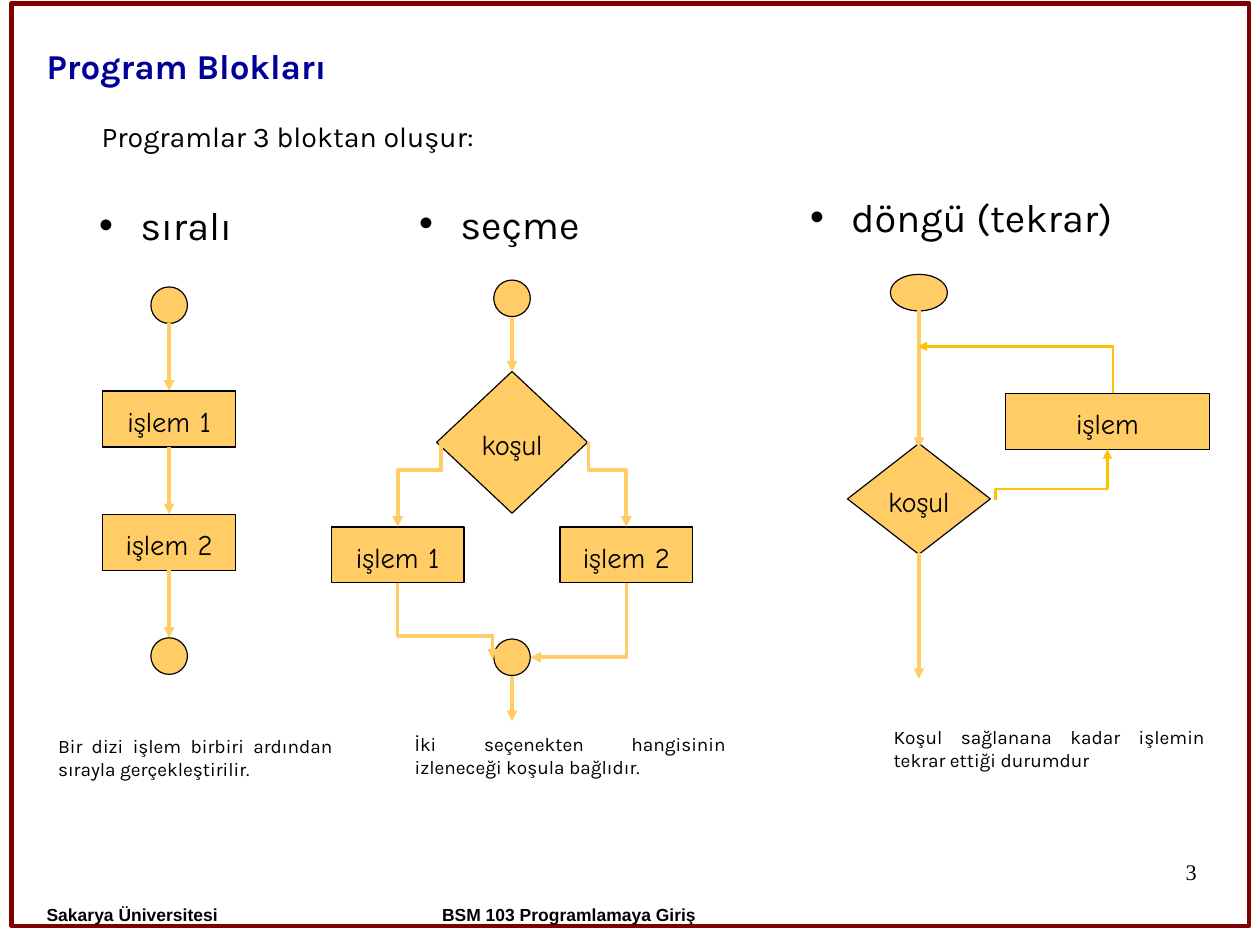
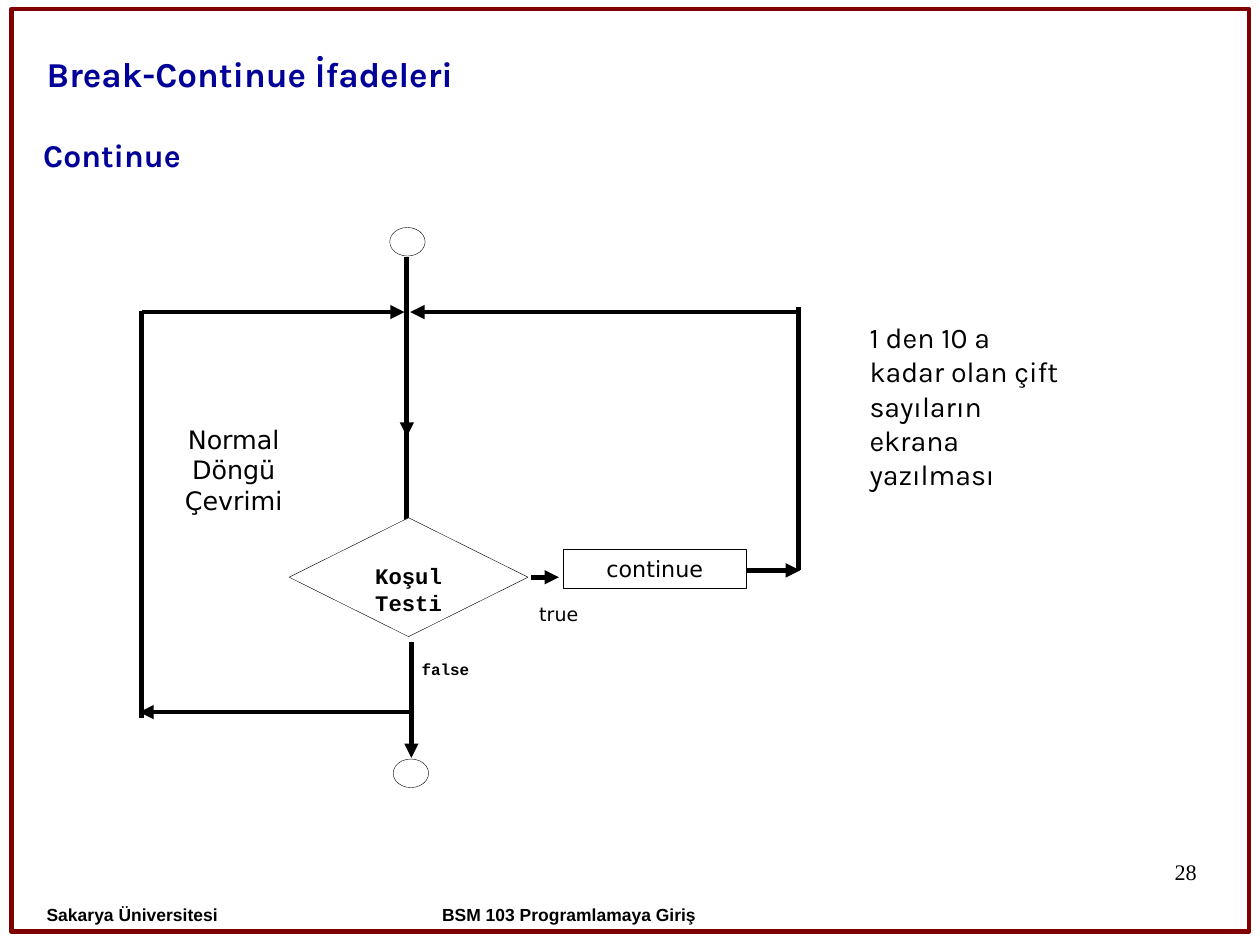
from dataclasses import dataclass

from lxml import etree
from pptx import Presentation
from pptx import util as u
from pptx.dml.color import RGBColor
from pptx.enum import shapes, text
from pptx.oxml.ns import qn

SHAPE = shapes.MSO_SHAPE
ALIGN = text.PP_ALIGN


@dataclass(frozen=True)
class Theme:
    """Colours, fonts and type sizes shared by the slides."""

    ink: str = "000000"
    paper: str = "FFFFFF"
    frame: str = "800000"
    title: str = "000099"
    node: str = "FFCC66"
    loop: str = "FFC000"
    body: str = "Karla"
    hand: str = "Comic Neue"
    sans: str = "DejaVu Sans"
    code: str = "Courier New"
    footer: str = "Arial"
    number: str = "Times New Roman"
    title_size: int = 22
    subtitle_size: int = 20
    heading_size: int = 25
    body_size: int = 18
    cycle_size: int = 16
    label_size: int = 14
    caption_size: int = 12
    footer_size: int = 11
    small_size: int = 10


T = Theme()


def rgb(value):
    """Turn a hex string into a colour."""
    return RGBColor.from_string(value)


def write(tf, content, size=T.body_size, font=T.body, color=T.ink, bold=False,
          align=ALIGN.LEFT, spacing=None, bullet=None):
    """Fill a text frame, one paragraph for each line of the content."""
    tf.margin_left = tf.margin_right = u.Inches(0.1)
    tf.margin_top = tf.margin_bottom = u.Inches(0.05)
    for i, line in enumerate(content.split("\n")):
        p = tf.add_paragraph() if i else tf.paragraphs[0]
        p.alignment = align
        if spacing:
            p.line_spacing = spacing
        if bullet:
            pPr = p._p.get_or_add_pPr()
            pPr.set("marL", str(u.Inches(0.36)))
            pPr.set("indent", str(-u.Inches(0.36)))
            etree.SubElement(pPr, qn("a:buFont")).set("typeface", T.footer)
            etree.SubElement(pPr, qn("a:buChar")).set("char", bullet)
        r = p.add_run()
        r.text = line
        r.font.size, r.font.name, r.font.bold = u.Pt(size), font, bold
        r.font.color.rgb = rgb(color)


def label(s, box, content, **fmt):
    """Add a wrapping text box."""
    tf = s.shapes.add_textbox(*map(u.Inches, box)).text_frame
    tf.word_wrap = True
    write(tf, content, **fmt)


def shape(s, kind, box, fill=None, line=T.ink, width=0.75):
    """Add a preset shape without shadow."""
    sp = s.shapes.add_shape(kind, *map(u.Inches, box))
    sp.shadow.inherit = False
    if fill:
        sp.fill.solid()
        sp.fill.fore_color.rgb = rgb(fill)
    else:
        sp.fill.background()
    sp.line.color.rgb = rgb(line)
    sp.line.width = u.Pt(width)
    return sp


def node(s, kind, cx, top, w, h, content=None):
    """Add a filled flowchart node centred on cx."""
    sp = shape(s, kind, (cx - w / 2, top, w, h), T.node)
    if content:
        tf = sp.text_frame
        tf.word_wrap = False
        tf.vertical_anchor = text.MSO_ANCHOR.MIDDLE
        write(tf, content, font=T.hand, align=ALIGN.CENTER, spacing=1.1)


def dot(s, cx, top, w=0.32):
    """Add a start or end node."""
    node(s, SHAPE.OVAL, cx, top, w, 0.32)


def step(s, cx, top, content, w=1.16):
    """Add a process node."""
    node(s, SHAPE.RECTANGLE, cx, top, w, 0.49, content)


def style_line(cxn, color, width, arrow):
    """Set the stroke of a connector and its arrowhead."""
    cxn.line.color.rgb = rgb(color)
    cxn.line.width = u.Pt(width)
    if arrow:
        ln = cxn.line._get_or_add_ln()
        etree.SubElement(ln, qn("a:tailEnd")).set("type", "triangle")
    etree.SubElement(cxn._element.spPr, qn("a:effectLst"))


def line(s, start, end, color=T.node, width=2.25, arrow=True):
    """Add a straight connector."""
    cxn = s.shapes.add_connector(shapes.MSO_CONNECTOR.STRAIGHT,
                                 *map(u.Inches, (*start, *end)))
    style_line(cxn, color, width, arrow)


def elbow(s, start, end, bend=None, color=T.node, width=2.25):
    """Add an arrow that leaves vertically and turns at the bend, or once if None."""
    (x1, y1), (x2, y2) = start, end
    dx, dy = x2 - x1, y2 - y1
    w, h = abs(dy), abs(dx)
    angle, flip = (90 if dx < 0 else 270), (dx > 0) == (dy > 0)
    if bend == 0:
        w, h, angle, flip = h, w, 180, False
    left, top = (x1 + x2 - w) / 2, (y1 + y2 - h) / 2
    cxn = s.shapes.add_connector(shapes.MSO_CONNECTOR.ELBOW,
                                 *map(u.Inches, (left, top, left + w, top + h)))
    spPr = cxn._element.spPr
    xfrm = spPr.find(qn("a:xfrm"))
    xfrm.set("rot", str(angle * 60000))
    if flip:
        xfrm.set("flipH", "1")
    geom = spPr.find(qn("a:prstGeom"))
    if bend is None:
        geom.set("prst", "bentConnector2")
    else:
        gd = etree.SubElement(geom.find(qn("a:avLst")), qn("a:gd"))
        gd.set("name", "adj1")
        gd.set("fmla", f"val {round(bend * 100000)}")
    style_line(cxn, color, width, True)


def base_slide(prs, title, number, frame_top, title_top):
    """Add a slide with its frame, title, number and footers."""
    s = prs.slides.add_slide(prs.slide_layouts[6])
    shape(s, SHAPE.RECTANGLE, (0.1, frame_top, 10.83, 8.07), line=T.frame, width=2.83)
    label(s, (0.31, title_top, 8.75, 0.46), title, size=T.title_size,
          color=T.title, bold=True)
    label(s, (7.8, 7.48, 2.77, 0.4), number, size=T.label_size, font=T.number,
          align=ALIGN.RIGHT, spacing=0.95)
    for left, width, align, content in (
            (0.31, 2.16, ALIGN.LEFT, "Sakarya Üniversitesi"),
            (3.21, 3.54, ALIGN.CENTER, "BSM 103 Programlamaya Giriş")):
        label(s, (left, 7.88, width, 0.3), content, size=T.footer_size,
              font=T.footer, bold=True, align=align, spacing=0.93)
    return s


def block_text(s, heading_at, heading, caption_at, caption, width=2.92):
    """Add the bulleted heading and the caption of a program block."""
    label(s, (*heading_at, 3.07, 0.66), heading, size=T.heading_size,
          spacing=1.04, bullet="•")
    label(s, (*caption_at, width, 0.5), caption, size=T.caption_size,
          align=ALIGN.JUSTIFY)


def sequence_block(s, x, y):
    """Draw the sequential block from its top left corner."""
    block_text(s, (x + 0.67, y), "sıralı", (x + 0.31, y + 4.69),
               "Bir dizi işlem birbiri ardından sırayla gerçekleştirilir.", 2.6)
    cx, gap, top = x + 1.38, 0.59, y + 0.82
    dot(s, cx, top)
    bottom = top + 0.32
    for content in ("işlem 1", "işlem 2"):
        line(s, (cx, bottom), (cx, bottom + gap))
        step(s, cx, bottom + gap, content)
        bottom += gap + 0.49
    line(s, (cx, bottom), (cx, bottom + gap))
    dot(s, cx, bottom + gap)


def selection_block(s, x, y):
    """Draw the selection block from its top left corner."""
    block_text(s, (x + 0.57, y), "seçme", (x + 0.53, y + 4.68),
               "İki seçenekten hangisinin izleneceği koşula bağlıdır.")
    cx = x + 1.48
    dot(s, cx, y + 0.77)
    node(s, SHAPE.DIAMOND, cx, y + 1.57, 1.32, 1.24, "koşul")
    dot(s, cx, y + 3.91)
    line(s, (cx, y + 1.09), (cx, y + 1.57))
    line(s, (cx, y + 4.23), (cx, y + 4.63))
    for content, side, corner in (("işlem 1", -1, -0.62), ("işlem 2", 1, 0.67)):
        step(s, cx + side, y + 2.93, content)
        elbow(s, (cx + corner, y + 2.19), (cx + side, y + 2.93), 0.33)
    elbow(s, (cx - 1, y + 3.42), (cx - 0.17, y + 4.09), 0.69)
    elbow(s, (cx + 1, y + 3.42), (cx + 0.16, y + 4.07))


def loop_block(s, x, y):
    """Draw the loop block from its top left corner."""
    block_text(s, (x, y), "döngü (tekrar)", (x + 0.73, y + 4.68),
               "Koşul sağlanana kadar işlemin tekrar ettiği durumdur")
    cx = x + 1.05
    dot(s, cx, y + 0.78, 0.5)
    node(s, SHAPE.DIAMOND, cx, y + 2.26, 1.25, 0.97, "koşul")
    step(s, x + 2.7, y + 1.82, "işlem", 1.78)
    line(s, (cx, y + 1.09), (cx, y + 2.3))
    line(s, (cx, y + 3.22), (cx, y + 4.32))
    elbow(s, (x + 1.72, y + 2.75), (x + 2.7, y + 2.31), 0.21, T.loop, 1.5)
    elbow(s, (x + 2.75, y + 1.82), (x + 1.04, y + 1.41), 0, T.loop, 1.5)


def continue_chart(s, x, y):
    """Draw the flow of a loop with continue from its top left corner."""
    def path(points, arrow=True):
        """Add a black flow line from the corner of the chart."""
        line(s, *((x + px, y + py) for px, py in points), T.ink, 3, arrow)

    for left, top in ((2.19, 0), (2.22, 4.65)):
        shape(s, SHAPE.OVAL, (x + left, y + top, 0.31, 0.25), width=0.25)
    for points in (((2.34, 0.26), (2.34, 1.83)), ((2.38, 3.63), (2.38, 4.64)),
                   ((5.76, 0.74), (2.37, 0.74)), ((2.37, 4.24), (0, 4.24)),
                   ((0.02, 0.74), (2.32, 0.74)), ((3.43, 3.06), (3.67, 3.06)),
                   ((5.31, 3), (5.78, 3))):
        path(points)
    for points in (((2.34, 1.7), (2.34, 2.72)), ((5.77, 0.7), (5.77, 3)),
                   ((0.02, 4.29), (0.02, 0.73))):
        path(points, False)
    shape(s, SHAPE.DIAMOND, (x + 1.31, y + 2.54, 2.09, 1.04), T.paper, width=0.25)
    label(s, (x + 1.56, y + 2.88, 1.59, 0.5), "Koşul\nTesti", size=T.label_size,
          font=T.code, bold=True, align=ALIGN.CENTER)
    sp = shape(s, SHAPE.RECTANGLE, (x + 3.71, y + 2.82, 1.6, 0.34))
    sp.text_frame.vertical_anchor = text.MSO_ANCHOR.TOP
    write(sp.text_frame, "continue", size=T.label_size, font=T.sans,
          align=ALIGN.CENTER)
    label(s, (x + 3.4, y + 3.23, 0.67, 0.3), "true", size=T.caption_size, font=T.sans)
    label(s, (x + 2.37, y + 3.73, 1.35, 0.3), "false", size=T.small_size,
          font=T.code, bold=True)
    label(s, (x + 0.19, y + 1.67, 1.27, 0.9), "Normal Döngü Çevrimi",
          size=T.cycle_size, font=T.sans, align=ALIGN.CENTER)


def blocks_slide(prs):
    """Build the slide on the three program blocks."""
    s = base_slide(prs, "Program Blokları", "3", 0.03, 0.34)
    label(s, (0.79, 0.99, 3.89, 0.4), "Programlar 3 bloktan oluşur:")
    sequence_block(s, 0.1, 1.69)
    selection_block(s, 3, 1.68)
    loop_block(s, 6.99, 1.62)


def continue_slide(prs):
    """Build the slide on the continue statement."""
    s = base_slide(prs, "Break-Continue İfadeleri", "28", 0.08, 0.41)
    label(s, (0.28, 1.14, 1.8, 0.44), "Continue", size=T.subtitle_size,
          color=T.title, bold=True)
    continue_chart(s, 1.22, 1.99)
    label(s, (7.51, 2.75, 1.94, 1.6),
          "1 den 10 a kadar olan çift sayıların ekrana yazılması")


def main():
    """Build and save the presentation."""
    prs = Presentation()
    prs.slide_width, prs.slide_height = u.Emu(10080625), u.Emu(7559675)
    blocks_slide(prs)
    continue_slide(prs)
    prs.save("out.pptx")


if __name__ == "__main__":
    main()
